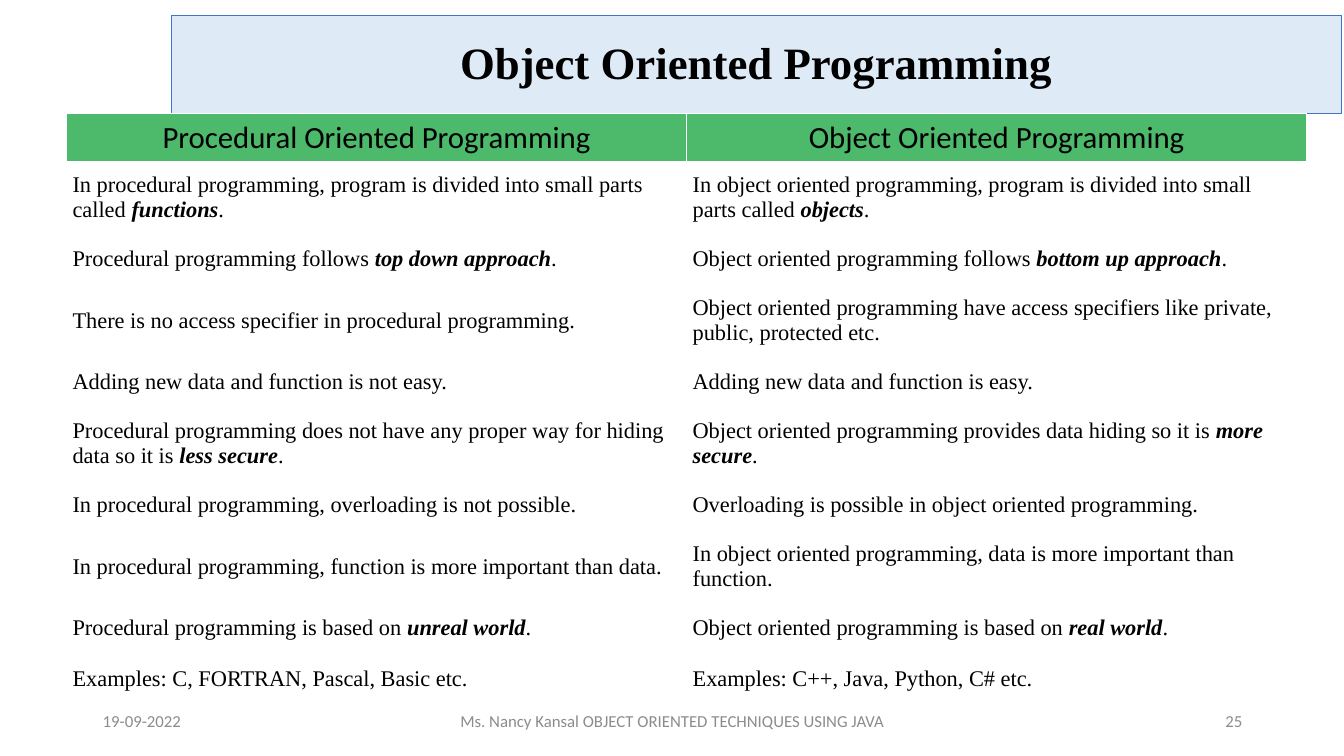
from pptx import Presentation
from pptx.dml.color import RGBColor
from pptx.enum.text import MSO_ANCHOR, MSO_AUTO_SIZE, PP_ALIGN
from pptx.util import Inches, Pt

LEFT, CENTER, RIGHT = PP_ALIGN.LEFT, PP_ALIGN.CENTER, PP_ALIGN.RIGHT
MIDDLE = MSO_ANCHOR.MIDDLE
NO_AUTOFIT = MSO_AUTO_SIZE.NONE
TITLE_ONLY = 5
NBSP = chr(160)

TITLE_FONT = {"name": "Times New Roman", "size": Pt(32), "bold": True}
HEADING_FONT = {"name": "Calibri", "size": Pt(22), "bold": False}
BODY_FONT = {"name": "Times New Roman", "size": Pt(16), "bold": False}
EMPHASIS_FONT = BODY_FONT | {"bold": True, "italic": True}
FOOTER_FONT = {"name": "Calibri", "size": Pt(12)}

HEADINGS = ("Procedural Oriented Programming", "Object Oriented Programming")
COMPARISONS = [
    ("In procedural programming, program is divided into small parts called *functions*.",
     "In object oriented programming, program is divided into small parts called *objects*."),
    ("Procedural programming follows *top down approach*.",
     "Object oriented programming follows *bottom up approach*."),
    ("There is no access specifier in procedural programming.",
     "Object oriented programming have access specifiers like private, public, protected etc."),
    ("Adding new data and function is not easy.",
     "Adding new data and function is easy."),
    ("Procedural programming does not have any proper way for hiding data so it is *less secure*.",
     "Object oriented programming provides data hiding so it is *more secure*."),
    ("In procedural programming, overloading is not possible.",
     "Overloading is possible in object oriented programming."),
    ("In procedural programming, function is more important than data.",
     "In object oriented programming, data is more important than function."),
    ("Procedural programming is based on *unreal world*.",
     "Object oriented programming is based on *real world*."),
    ("Examples: C, FORTRAN, Pascal, Basic etc.",
     "Examples: C++, Java, Python, C# etc."),
]
HEADING_HEIGHT, TALL_ROW, SHORT_ROW = 0.47, 0.72, 0.5
FOOTERS = [
    (0.92, 3, "19-09-2022", LEFT),
    (4.42, 4.5, "Ms. Nancy Kansal OBJECT ORIENTED TECHNIQUES USING JAVA", CENTER),
    (9.42, 3, "25", RIGHT),
]


def color(hex_string):
    """Return the colour for a hex string."""
    return RGBColor.from_string(hex_string)


def set_values(target, values):
    """Set each attribute of the target from a dict."""
    for attribute, value in values.items():
        setattr(target, attribute, value)


def fill_solid(target, hex_string):
    """Give a shape or a cell a solid fill."""
    target.fill.solid()
    target.fill.fore_color.rgb = color(hex_string)


def add_run(paragraph, text, font, hex_string="000000"):
    """Add a formatted run to a paragraph."""
    run = paragraph.add_run()
    run.text = text
    set_values(run.font, font)
    run.font.color.rgb = color(hex_string)


def add_title(slide):
    """Place the title in its pale blue banner."""
    title = slide.shapes.title
    set_values(title, {"left": Inches(1.7), "top": Inches(0.15),
                       "width": Inches(11.6), "height": Inches(0.98)})
    fill_solid(title, "DEEBF7")
    title.line.color.rgb = color("4472C4")
    title.line.width = Pt(0.5)
    set_values(title.text_frame, {"vertical_anchor": MIDDLE, "word_wrap": True,
                                  "auto_size": NO_AUTOFIT})
    paragraph = title.text_frame.paragraphs[0]
    set_values(paragraph, {"alignment": CENTER, "line_spacing": 0.9,
                           "space_before": Pt(0), "space_after": Pt(6)})
    add_run(paragraph, "Object Oriented Programming", TITLE_FONT)


def fill_cell(cell, text, font, alignment, background, side, edge):
    """Write a cell, with the text between asterisks emphasised."""
    fill_solid(cell, background)
    set_values(cell, {"vertical_anchor": MIDDLE,
                      "margin_left": Inches(side), "margin_right": Inches(side),
                      "margin_top": Inches(edge), "margin_bottom": Inches(edge)})
    paragraph = cell.text_frame.paragraphs[0]
    paragraph.alignment = alignment
    for index, part in enumerate(text.replace(" *", NBSP + "*").split("*")):
        add_run(paragraph, part, EMPHASIS_FONT if index % 2 else font)


def add_comparison(slide):
    """Add the table that compares the two paradigms."""
    heights = [HEADING_HEIGHT] + [SHORT_ROW if index % 2 else TALL_ROW
                                  for index in range(len(COMPARISONS))]
    heights[-1] = SHORT_ROW
    comparison = slide.shapes.add_table(
        len(heights), len(HEADINGS), Inches(0.66), Inches(1.13),
        Inches(12.3), Inches(sum(heights))).table
    comparison.horz_banding = False
    for row, height in zip(comparison.rows, heights):
        row.height = Inches(height)
    for column, heading in enumerate(HEADINGS):
        comparison.columns[column].width = Inches(6.15)
        fill_cell(comparison.cell(0, column), heading, HEADING_FONT, CENTER,
                  "4CB96B", 0.05, 0.05)
        for row, statements in enumerate(COMPARISONS, 1):
            fill_cell(comparison.cell(row, column), statements[column], BODY_FONT,
                      LEFT, "FFFFFF", 0.06, 0.09)


def add_footer(slide, left, width, text, alignment):
    """Add one grey footer text."""
    footer = slide.shapes.add_textbox(Inches(left), Inches(6.95),
                                      Inches(width), Inches(0.4)).text_frame
    set_values(footer, {"word_wrap": True, "vertical_anchor": MIDDLE})
    footer.paragraphs[0].alignment = alignment
    add_run(footer.paragraphs[0], text, FOOTER_FONT, "8C8C8C")


def main():
    """Build the slide and save it."""
    presentation = Presentation()
    presentation.slide_width = Inches(13.33)
    presentation.slide_height = Inches(7.5)
    slide = presentation.slides.add_slide(presentation.slide_layouts[TITLE_ONLY])
    add_title(slide)
    add_comparison(slide)
    for footer in FOOTERS:
        add_footer(slide, *footer)
    presentation.save("out.pptx")


if __name__ == "__main__":
    main()
